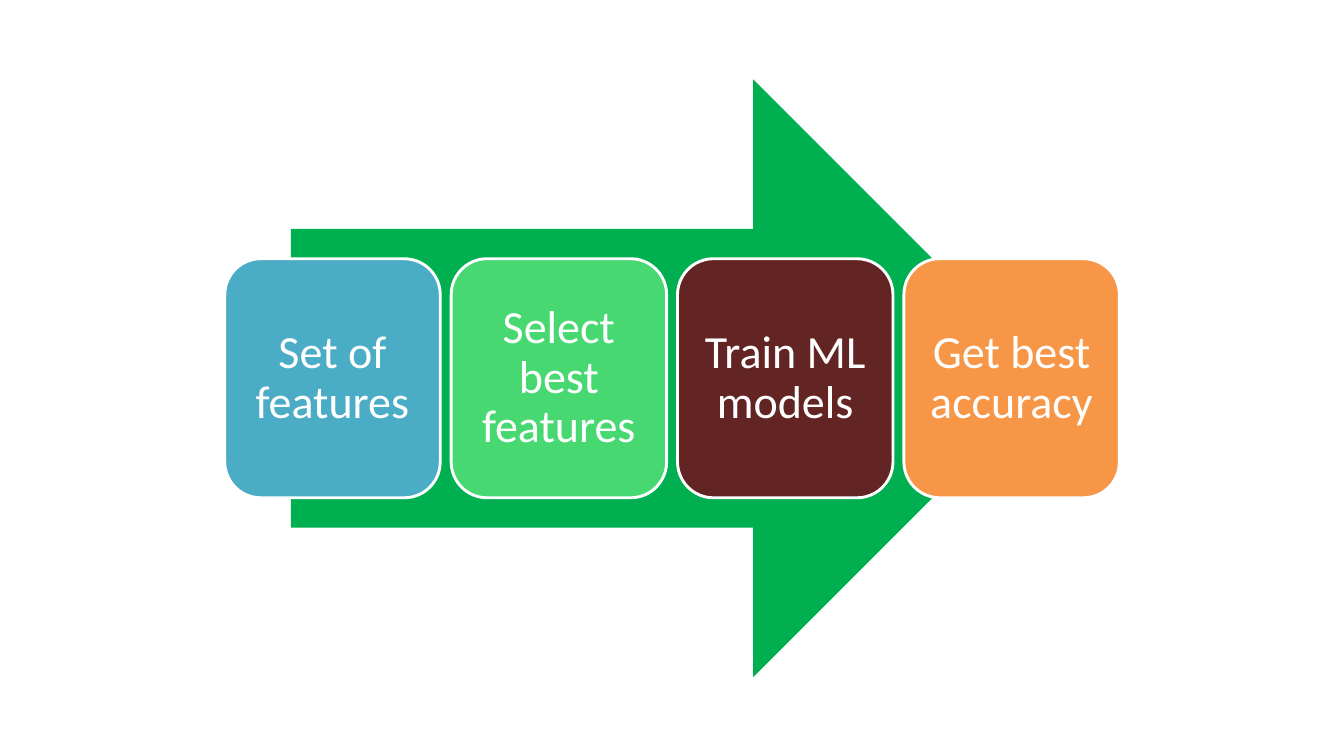
from dataclasses import dataclass

from pptx import Presentation
from pptx.dml.color import RGBColor
from pptx.enum.shapes import MSO_SHAPE as Shape
from pptx.enum.text import MSO_ANCHOR as Anchor, PP_ALIGN as Align
from pptx.util import Pt


@dataclass(frozen=True)
class Theme:
    font: str = "Calibri"
    card_size: float = 32
    outline: float = 2
    white: str = "FFFFFF"
    arrow: str = "00B050"
    blue: str = "4BACC6"
    green: str = "47D872"
    maroon: str = "632523"
    orange: str = "F79646"


class SlideBuilder:
    def __init__(self, page, theme):
        self.page = page
        self.theme = theme

    def shape(self, kind, left, top, width, height, fill):
        box = self.page.shapes.add_shape(
            kind, Pt(left), Pt(top), Pt(width), Pt(height)
        )
        box.shadow.inherit = False
        box.fill.solid()
        box.fill.fore_color.rgb = RGBColor.from_string(fill)
        return box

    def arrow(self, left, top, width, height):
        box = self.shape(
            Shape.RIGHT_ARROW, left, top, width, height, self.theme.arrow
        )
        box.line.fill.background()

    def card(self, text, left, top, width, height, fill):
        theme = self.theme
        white = RGBColor.from_string(theme.white)
        box = self.shape(Shape.ROUNDED_RECTANGLE, left, top, width, height, fill)
        box.line.color.rgb = white
        box.line.width = Pt(theme.outline)
        frame = box.text_frame
        frame.word_wrap = True
        frame.vertical_anchor = Anchor.MIDDLE
        frame.margin_left = frame.margin_right = Pt(9.4)
        frame.margin_top = frame.margin_bottom = Pt(9.4)
        frame.text = text
        para = frame.paragraphs[0]
        para.alignment = Align.CENTER
        para.line_spacing = 0.9
        span = para.runs[0]
        span.font.name = theme.font
        span.font.size = Pt(theme.card_size)
        span.font.color.rgb = white


def main():
    deck = Presentation()
    deck.slide_width, deck.slide_height = Pt(934.5), Pt(525.6)
    page = deck.slides.add_slide(deck.slide_layouts[6])
    theme = Theme()
    builder = SlideBuilder(page, theme)

    builder.arrow(202.3, 55.2, 529.2, 415.6)
    steps = [
        ("Set of features", theme.blue),
        ("Select best features", theme.green),
        ("Train ML models", theme.maroon),
        ("Get best accuracy", theme.orange),
    ]
    first_left, pitch = 156.3, 157.4
    for index, (text, fill) in enumerate(steps):
        builder.card(text, first_left + index * pitch, 179.9, 149.8, 166.2, fill)

    deck.save("out.pptx")


if __name__ == "__main__":
    main()
